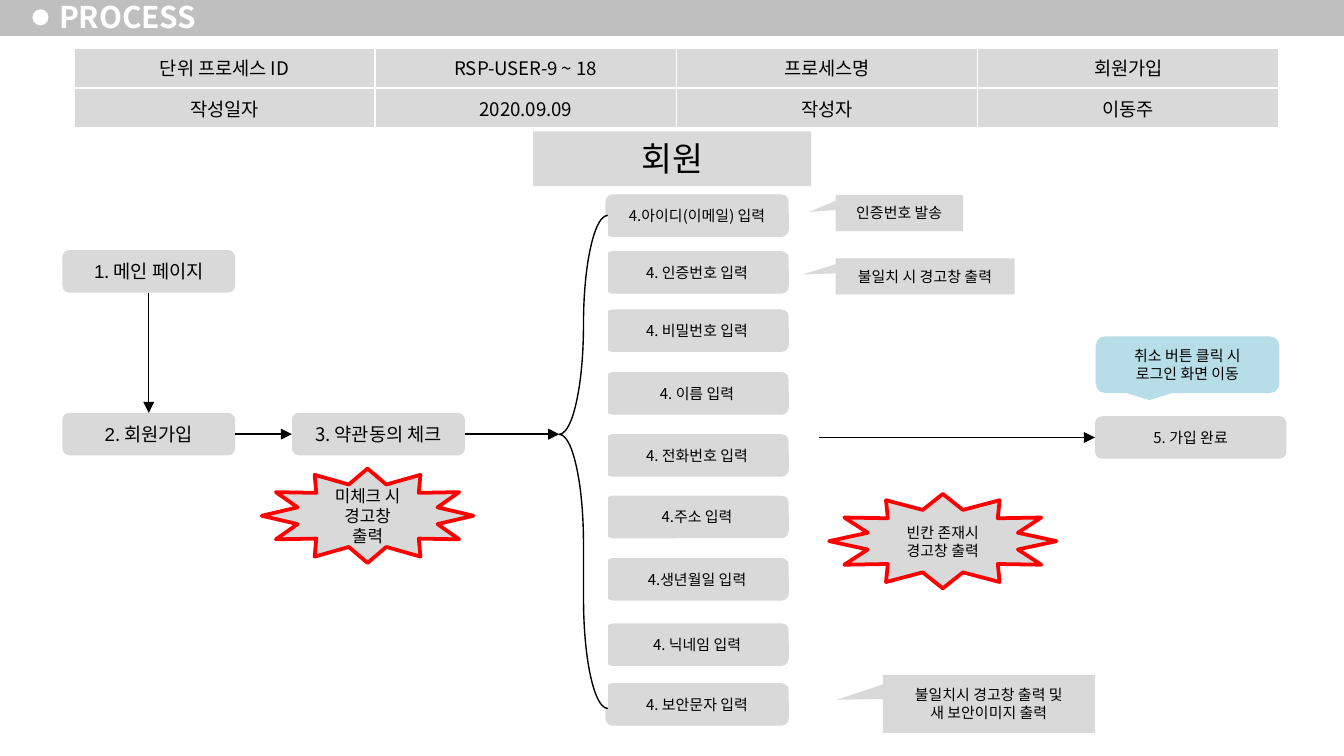
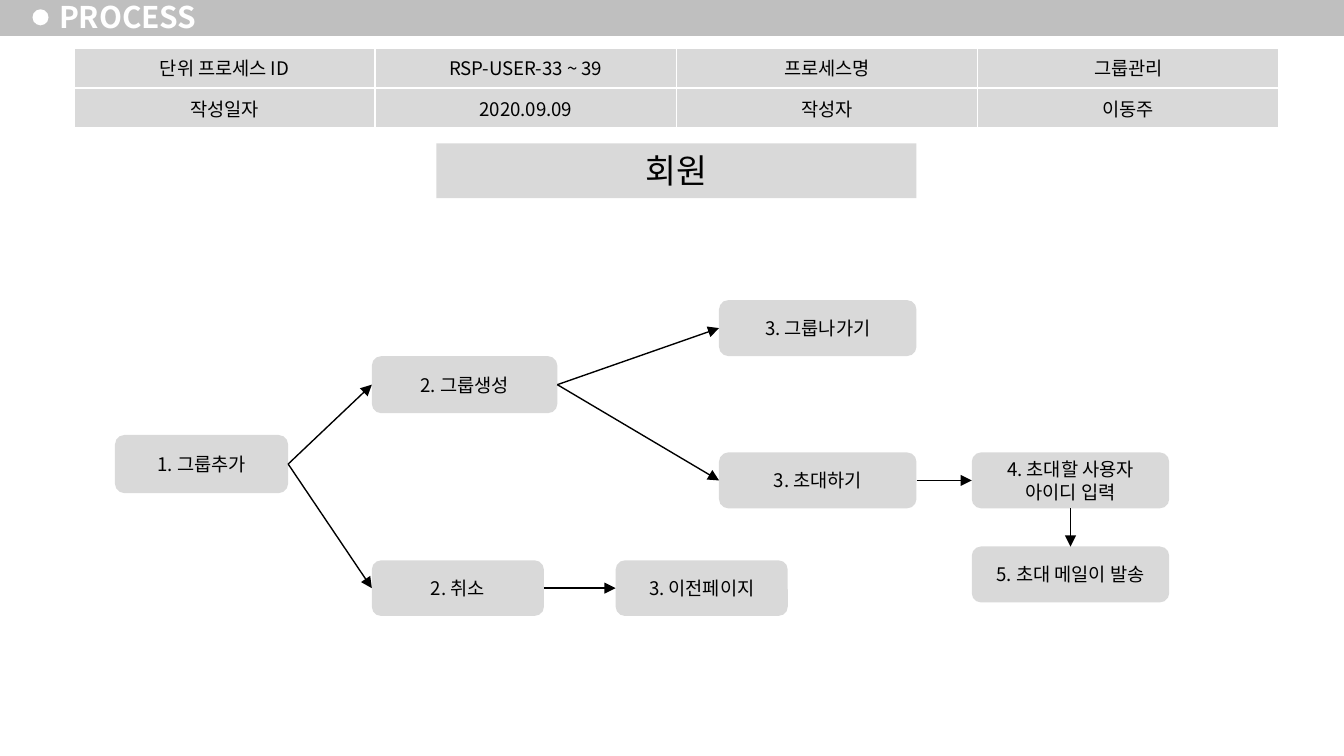
import pptx
import pptx.util
import pptx.dml.color
import pptx.enum.shapes
import pptx.enum.text
import pptx.oxml.ns
from lxml import etree

Pt = pptx.util.Pt
RGBColor = pptx.dml.color.RGBColor
SHAPE = pptx.enum.shapes.MSO_SHAPE
ANCHOR = pptx.enum.text.MSO_ANCHOR
ALIGN = pptx.enum.text.PP_ALIGN
qn = pptx.oxml.ns.qn

BAND = RGBColor(0xBF, 0xBF, 0xBF)
PANEL = RGBColor(0xD9, 0xD9, 0xD9)
NOTICE = RGBColor(0xB7, 0xDE, 0xE8)
WARNING = RGBColor(0xFF, 0x00, 0x00)
WHITE = RGBColor(0xFF, 0xFF, 0xFF)
BLACK = RGBColor(0x00, 0x00, 0x00)
FONT = "Noto Sans CJK KR"
NUMBER_FONT = "Arial"

# Connection sites of a box
TOP, LEFT, BOTTOM, RIGHT = range(4)


def format_run(run, size, color=BLACK, bold=False, latin=FONT):
    run.font.size = Pt(size)
    run.font.name = latin
    run.font.bold = bold
    run.font.color.rgb = color
    east_asian = etree.SubElement(run.font._element, qn("a:ea"))
    east_asian.set("typeface", FONT)


def write(frame, text, size, align=ALIGN.CENTER, **style):
    frame.text = text
    for paragraph in frame.paragraphs:
        paragraph.alignment = align
        for run in paragraph.runs:
            format_run(run, size, **style)


def add_shape(slide, kind, box, fill=PANEL, line=None, line_width=0.75, adjust=()):
    shape = slide.shapes.add_shape(kind, *map(Pt, box))
    shape.shadow.inherit = False
    shape.fill.solid()
    shape.fill.fore_color.rgb = fill
    if line is None:
        shape.line.fill.background()
    else:
        shape.line.color.rgb = line
        shape.line.width = Pt(line_width)
    for index, value in enumerate(adjust):
        shape.adjustments[index] = value
    return shape


def add_label(slide, kind, box, text, size, **look):
    shape = add_shape(slide, kind, box, **look)
    shape.text_frame.word_wrap = True
    shape.text_frame.vertical_anchor = ANCHOR.MIDDLE
    write(shape.text_frame, text, size)
    return shape


def add_step(slide, box, text, size=10):
    return add_label(slide, SHAPE.ROUNDED_RECTANGLE, box, text, size)


def add_numbered_step(slide, box, number, text):
    """A step whose number is set in a font of its own."""
    step = add_step(slide, box, number)
    step.text_frame.paragraphs[0].runs[0].font.name = NUMBER_FONT
    label = step.text_frame.paragraphs[0].add_run()
    label.text = text
    format_run(label, 10)
    return step


def add_callout(slide, box, text, pointer):
    add_label(slide, SHAPE.RECTANGULAR_CALLOUT, box, text, 8, adjust=pointer)


def add_warning(slide, box, text, size):
    add_label(slide, SHAPE.STAR_12_POINT, box, text, size,
              line=WARNING, line_width=2, adjust=[0.342])


def add_arrow(slide, start=(0, 0), end=(0, 0)):
    arrow = slide.shapes.add_connector(
        pptx.enum.shapes.MSO_CONNECTOR.STRAIGHT, *map(Pt, (*start, *end)))
    arrow.line.color.rgb = BLACK
    arrow.line.width = Pt(0.75)
    head = etree.SubElement(arrow.line._get_or_add_ln(), qn("a:tailEnd"))
    head.set("type", "triangle")
    etree.SubElement(arrow._element.spPr, qn("a:effectLst"))
    return arrow


def link(slide, source, target, leave=RIGHT, enter=LEFT):
    arrow = add_arrow(slide)
    arrow.begin_connect(source, leave)
    arrow.end_connect(target, enter)


def set_cell_borders(cell):
    properties = cell._tc.get_or_add_tcPr()
    for index, side in enumerate(("lnL", "lnR", "lnT", "lnB")):
        border = etree.Element(qn("a:" + side), w=str(Pt(1)))
        fill = etree.SubElement(border, qn("a:solidFill"))
        etree.SubElement(fill, qn("a:srgbClr"), val=str(WHITE))
        properties.insert(index, border)


def add_process_table(slide, process_id, process_name):
    rows = [("단위 프로세스 ID", process_id, "프로세스명", process_name),
            ("작성일자", "2020.09.09", "작성자", "이동주")]
    table = slide.shapes.add_table(2, 4, Pt(39.6), Pt(25.6), Pt(645.6), Pt(43)).table
    for column in table.columns:
        column.width = Pt(161.4)
    for row, texts in zip(table.rows, rows):
        row.height = Pt(21.5)
        for cell, text in zip(row.cells, texts):
            cell.fill.solid()
            cell.fill.fore_color.rgb = PANEL
            cell.vertical_anchor = ANCHOR.MIDDLE
            write(cell.text_frame, text, 10)
            set_cell_borders(cell)


def add_process_slide(deck, process_id, process_name, heading_box):
    """A slide with the parts that every process shares."""
    slide = deck.slides.add_slide(deck.slide_layouts[6])
    # Title band
    add_shape(slide, SHAPE.RECTANGLE, (0, -1.2, 720, 20.4), BAND)
    add_shape(slide, SHAPE.OVAL, (17.4, 5, 8.6, 8.6), WHITE)
    title = slide.shapes.add_textbox(Pt(25.2), Pt(-2.8), Pt(88), Pt(23)).text_frame
    title.margin_left = title.margin_right = Pt(6.5)
    title.margin_top = title.margin_bottom = Pt(3)
    title.vertical_anchor = ANCHOR.MIDDLE
    title.word_wrap = False
    write(title, "PROCESS", 16, ALIGN.LEFT, color=WHITE, bold=True)
    # Process data and actor
    add_process_table(slide, process_id, process_name)
    heading = add_label(slide, SHAPE.RECTANGLE, heading_box, "회원", 18)
    heading.text_frame.vertical_anchor = ANCHOR.TOP
    return slide


def build_sign_up(deck):
    slide = add_process_slide(deck, "RSP-USER-9 ~ 18", "회원가입",
                              (285.6, 70.4, 149, 29.4))
    # Steps up to the form
    main_page = add_numbered_step(slide, (33.4, 134, 92.6, 22.8), "1", ". 메인 페이지")
    sign_up = add_numbered_step(slide, (33.4, 221.2, 92.6, 22.8), "2", ". 회원가입")
    terms = add_step(slide, (156.4, 221.2, 92.8, 22.8), "3. 약관동의 체크")
    link(slide, main_page, sign_up, BOTTOM, TOP)
    link(slide, sign_up, terms)
    add_warning(slide, (140.2, 251, 113.4, 50.6), "미체크 시 경고창 출력", 9)

    # Form fields
    fields = [(104.2, "4.아이디(이메일) 입력"), (134.6, "4. 인증번호 입력"),
              (165.8, "4. 비밀번호 입력"), (199.4, "4. 이름 입력"),
              (232.6, "4. 전화번호 입력"), (265.6, "4.주소 입력"),
              (299, "4.생년월일 입력"), (334, "4. 닉네임 입력"),
              (366, "4. 보안문자 입력")]
    for top, text in fields:
        add_step(slide, (324.4, top, 98.2, 22.8), text, 8)
    add_shape(slide, SHAPE.LEFT_BRACE, (299.6, 115.4, 26, 264.2), WHITE,
              line=BLACK, adjust=[2.532, 0.444])
    add_arrow(slide, (249.2, 232.6), (299.6, 232.6))

    # Remarks on the fields
    add_callout(slide, (447.6, 104.4, 68.4, 19.4), "인증번호 발송", (-0.708, -0.024))
    add_callout(slide, (447.6, 138.4, 96, 19.4), "불일치 시 경고창 출력",
                (-0.685, -0.051))
    add_callout(slide, (473, 361.6, 113.6, 31),
                "불일치시 경고창 출력 및\n새 보안이미지 출력", (-0.717, -0.069))
    add_warning(slide, (444.2, 264.6, 121.8, 50.6), "빈칸 존재시 경고창 출력", 8)

    # Completion
    add_step(slide, (586.6, 223, 102.6, 22.8), "5. 가입 완료", 8)
    add_arrow(slide, (438.6, 234.4), (586.6, 234.4))
    add_label(slide, SHAPE.ROUNDED_RECTANGULAR_CALLOUT, (587, 180.2, 98.4, 30.4),
              "취소 버튼 클릭 시\n로그인 화면 이동", 8, fill=NOTICE)


def build_group_management(deck):
    slide = add_process_slide(deck, "RSP-USER-33 ~ 39", "그룹관리",
                              (233.8, 76.8, 257.2, 29.4))
    # Steps
    add_group = add_step(slide, (61.6, 233, 92.8, 31.2), "1. 그룹추가")
    create = add_step(slide, (199.2, 190.8, 99.4, 30.6), "2. 그룹생성")
    cancel = add_step(slide, (199.2, 300.2, 92.2, 29.8), "2. 취소")
    previous = add_step(slide, (329.8, 300.2, 92.2, 29.8), "3. 이전페이지")
    leave = add_step(slide, (385.2, 160.8, 105.8, 30), "3. 그룹나가기")
    invite = add_step(slide, (385.2, 242.4, 105.8, 30), "3. 초대하기")
    invitee = add_step(slide, (520.6, 242.4, 105.8, 30), "4. 초대할 사용자 아이디 입력")
    mail = add_step(slide, (520.6, 292.8, 105.8, 30), "5. 초대 메일이 발송")

    # Flow
    for source, target in [(add_group, create), (add_group, cancel),
                           (create, leave), (create, invite),
                           (cancel, previous), (invite, invitee)]:
        link(slide, source, target)
    link(slide, invitee, mail, BOTTOM, TOP)


def main():
    deck = pptx.Presentation()
    deck.slide_width = Pt(720)
    deck.slide_height = Pt(405)
    build_sign_up(deck)
    build_group_management(deck)
    deck.save("out.pptx")


main()
